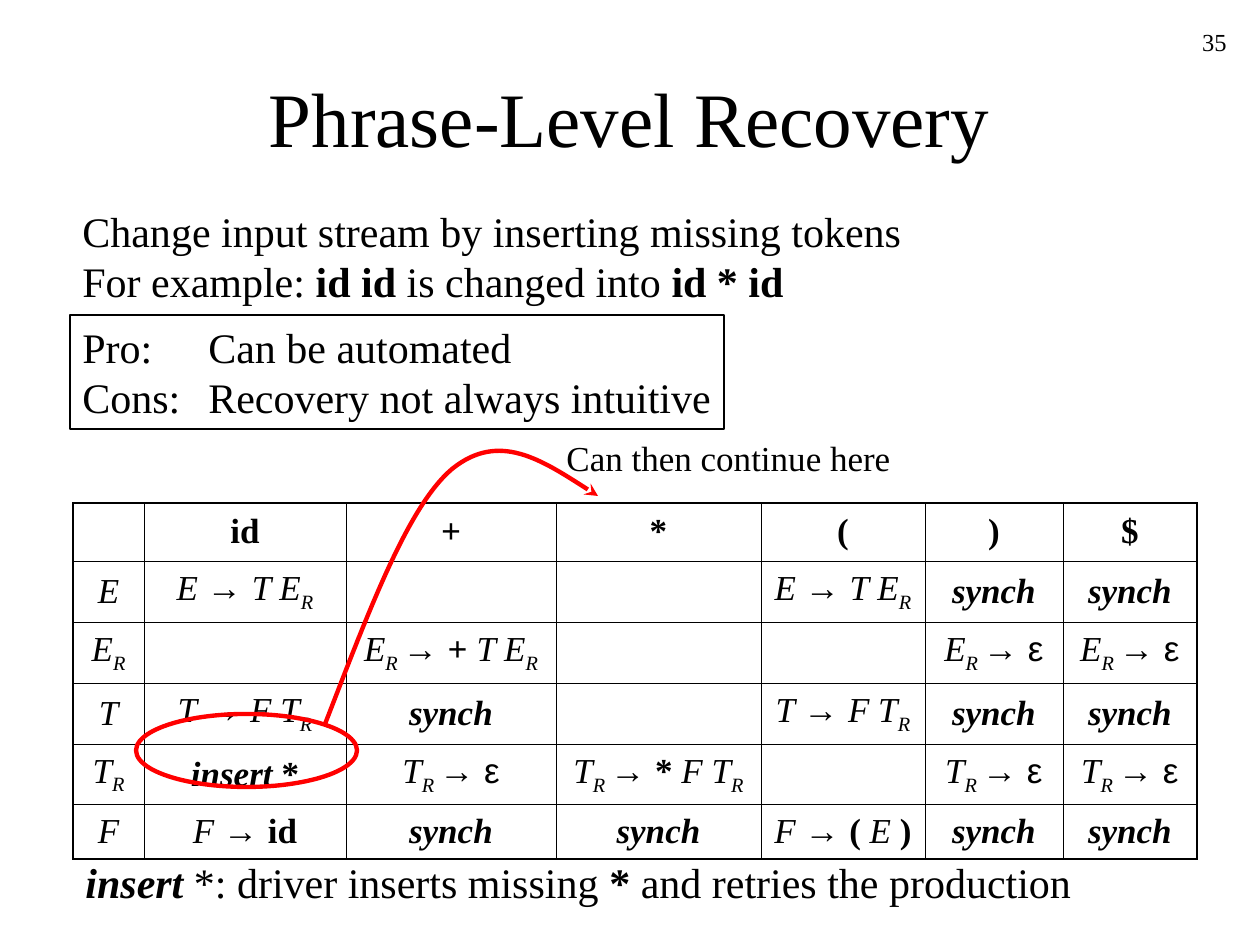
from dataclasses import dataclass

import pptx
import pptx.dml.color
import pptx.enum.shapes
import pptx.enum.text
import pptx.oxml.ns
import pptx.util
from lxml import etree

PX_PER_INCH = 126
ALIGN = pptx.enum.text.PP_ALIGN
ANCHOR = pptx.enum.text.MSO_ANCHOR
SHAPE = pptx.enum.shapes.MSO_SHAPE
qn = pptx.oxml.ns.qn


@dataclass(frozen=True)
class Theme:
    ink: str = "000000"
    mark: str = "FF0000"
    serif: str = "Times New Roman"
    sans: str = "Arial"
    title: int = 44
    body: int = 24
    cell: int = 20
    number: int = 14
    frame: float = 0.75
    mark_line: float = 2.5
    outer: float = 1.08
    inner: float = 0.45


THEME = Theme()


@dataclass(frozen=True)
class Run:
    text: str
    bold: bool = False
    italic: bool = False
    sub: bool = False
    font: str = THEME.serif


@dataclass(frozen=True)
class Box:
    left: int
    top: int
    width: int
    height: int


@dataclass(frozen=True)
class Label:
    box: Box
    lines: tuple[tuple[Run, ...], ...]
    size: int
    align: ALIGN = ALIGN.LEFT
    wrap: bool = True


def px(n: int) -> pptx.util.Emu:
    return pptx.util.Emu(round(n * 914400 / PX_PER_INCH))


def place(box: Box) -> tuple[pptx.util.Emu, ...]:
    return px(box.left), px(box.top), px(box.width), px(box.height)


def rgb(value: str) -> pptx.dml.color.RGBColor:
    return pptx.dml.color.RGBColor.from_string(value)


def plain(text: str) -> Run:
    return Run(text)


def bold(text: str) -> Run:
    return Run(text, bold=True)


def ital(text: str) -> Run:
    return Run(text, italic=True)


def sans(text: str) -> Run:
    return Run(text, font=THEME.sans)


# Text and outlines
def add_runs(p, runs: tuple[Run, ...], size: int, align: ALIGN) -> None:
    p.alignment = align
    for run in runs:
        r = p.add_run()
        r.text = run.text
        r.font.name = run.font
        r.font.size = pptx.util.Pt(size)
        r.font.bold = run.bold
        r.font.italic = run.italic
        r.font.color.rgb = rgb(THEME.ink)
        if run.sub:
            r.font._element.set("baseline", "-25000")


def fill_text(tf, label: Label) -> None:
    tf.word_wrap = label.wrap
    tf.vertical_anchor = ANCHOR.TOP
    if not label.wrap:
        tf.auto_size = pptx.enum.text.MSO_AUTO_SIZE.SHAPE_TO_FIT_TEXT
    for i, runs in enumerate(label.lines):
        p = tf.paragraphs[0] if i == 0 else tf.add_paragraph()
        add_runs(p, runs, label.size, label.align)


def add_label(s, label: Label) -> None:
    fill_text(s.shapes.add_textbox(*place(label.box)).text_frame, label)


def outline(sp, color: str, width: float) -> None:
    sp.shadow.inherit = False
    sp.fill.background()
    sp.line.color.rgb = rgb(color)
    sp.line.width = pptx.util.Pt(width)


def add_outline(s, kind: SHAPE, box: Box, color: str, width: float):
    sp = s.shapes.add_shape(kind, *place(box))
    outline(sp, color, width)
    return sp


def add_curve_arrow(s, points: list[tuple[int, int]]) -> None:
    start, *rest = [(px(x), px(y)) for x, y in points]
    builder = s.shapes.build_freeform(*start)
    builder.add_line_segments(rest, close=False)
    sp = builder.convert_to_shape()
    outline(sp, THEME.mark, THEME.mark_line)
    # Every three straight segments become one cubic Bézier segment
    track = sp._element.find(".//" + qn("a:path"))
    segments = track.findall(qn("a:lnTo"))
    for i in range(0, len(segments), 3):
        curve = etree.SubElement(track, qn("a:cubicBezTo"))
        for segment in segments[i:i + 3]:
            curve.append(segment[0])
            track.remove(segment)
    etree.SubElement(sp.line._get_or_add_ln(), qn("a:tailEnd"), type="stealth")


# Parsing table
def set_borders(cell, widths: dict[str, float]) -> None:
    tc_pr = cell._tc.get_or_add_tcPr()
    for i, (side, width) in enumerate(widths.items()):
        ln = etree.Element(qn(f"a:ln{side}"), w=str(pptx.util.Pt(width)))
        fill = etree.SubElement(ln, qn("a:solidFill"))
        etree.SubElement(fill, qn("a:srgbClr"), val=THEME.ink)
        tc_pr.insert(i, ln)


def add_parse_table(s, left: int, top: int, widths: list[int], heights: list[int], rows: list) -> None:
    box = Box(left, top, sum(widths), sum(heights))
    table = s.shapes.add_table(len(heights), len(widths), *place(box)).table
    table.first_row = table.horz_banding = False
    for column, width in zip(table.columns, widths):
        column.width = px(width)
    for row, height in zip(table.rows, heights):
        row.height = px(height)
    for y, row in enumerate(rows):
        for x, runs in enumerate(row):
            cell = table.cell(y, x)
            cell.fill.background()
            cell.vertical_anchor = ANCHOR.MIDDLE
            add_runs(cell.text_frame.paragraphs[0], runs, THEME.cell, ALIGN.CENTER)
            edges = {"L": x == 0, "R": x == len(widths) - 1, "T": y == 0, "B": y == len(heights) - 1}
            set_borders(cell, {side: THEME.outer if edge else THEME.inner for side, edge in edges.items()})


# Grammar symbols and productions
SUB_R = Run("R", italic=True, sub=True)
SUB_R_GAP = Run("R ", italic=True, sub=True)
ARROW = sans("→ ")
NONE = ()
SYNCH = (Run("synch", bold=True, italic=True),)
E_TO_TER = (ital("E "), ARROW, ital("T E"), SUB_R)
T_TO_FTR = (ital("T "), ARROW, ital("F T"), SUB_R)
ER_EMPTY, TR_EMPTY = ((ital(name), SUB_R_GAP, sans("→ ε")) for name in "ET")
ER_PLUS = (ital("E"), SUB_R_GAP, ARROW, bold("+ "), ital("T E"), SUB_R)
TR_TIMES = (ital("T"), SUB_R_GAP, ARROW, bold("* "), ital("F T"), SUB_R)
INSERT = (Run("insert ", bold=True, italic=True), bold("*"))
F_ID = (ital("F "), ARROW, bold("id"))
F_PAREN = (ital("F "), ARROW, bold("( "), ital("E "), bold(")"))

ROWS = [
    [NONE] + [(bold(token),) for token in ("id", "+", "*", "(", ")", "$")],
    [(ital("E"),), E_TO_TER, NONE, NONE, E_TO_TER, SYNCH, SYNCH],
    [(ital("E"), SUB_R), NONE, ER_PLUS, NONE, NONE, ER_EMPTY, ER_EMPTY],
    [(ital("T"),), T_TO_FTR, SYNCH, NONE, T_TO_FTR, SYNCH, SYNCH],
    [(ital("T"), SUB_R), INSERT, TR_EMPTY, TR_TIMES, NONE, TR_EMPTY, TR_EMPTY],
    [(ital("F"),), F_ID, SYNCH, SYNCH, F_PAREN, SYNCH, SYNCH],
]

# Labels, each a little wider than its longest line
TITLE = Label(Box(94, 64, 1071, 158), ((plain("Phrase-Level Recovery"),),), THEME.title, ALIGN.CENTER)
NUMBER = Label(Box(977, 21, 262, 63), ((plain("35"),),), THEME.number, ALIGN.RIGHT)
INTRO = Label(Box(70, 199, 860, 113), (
    (plain("Change input stream by inserting missing tokens"),),
    (plain("For example: "), bold("id id"), plain(" is changed into "), bold("id * id")),
), THEME.body)
FOOTNOTE = Label(Box(73, 850, 1030, 63), (
    (Run("insert", bold=True, italic=True), plain(" *: driver inserts missing "),
     bold("* "), plain("and retries the production")),
), THEME.body)
CONTINUE = Label(Box(554, 430, 370, 55), ((plain("Can then continue here"),),), THEME.cell)
PROS_CONS = Label(Box(70, 315, 654, 114), (
    (plain("Pro:\tCan be automated"),),
    (plain("Cons:\tRecovery not always intuitive"),),
), THEME.body, wrap=False)


def main() -> None:
    prs = pptx.Presentation()
    prs.slide_width, prs.slide_height = px(1260), px(945)
    s = prs.slides.add_slide(prs.slide_layouts[6])

    add_label(s, TITLE)
    add_parse_table(s, 73, 503, [71, 202, 210, 205, 164, 138, 134], [58, 61, 61, 61, 60, 55], ROWS)
    add_label(s, INTRO)
    add_label(s, FOOTNOTE)

    # Marked entry and the arrow to the next column
    add_outline(s, SHAPE.OVAL, Box(136, 714, 221, 73), THEME.mark, THEME.mark_line)
    add_curve_arrow(s, [(325, 724), (367, 616), (407, 507), (452, 469), (499, 431), (548, 464), (598, 496)])
    add_label(s, CONTINUE)

    # Framed pros and cons
    sp = add_outline(s, SHAPE.RECTANGLE, PROS_CONS.box, THEME.ink, THEME.frame)
    fill_text(sp.text_frame, PROS_CONS)

    add_label(s, NUMBER)
    prs.save("out.pptx")


if __name__ == "__main__":
    main()
